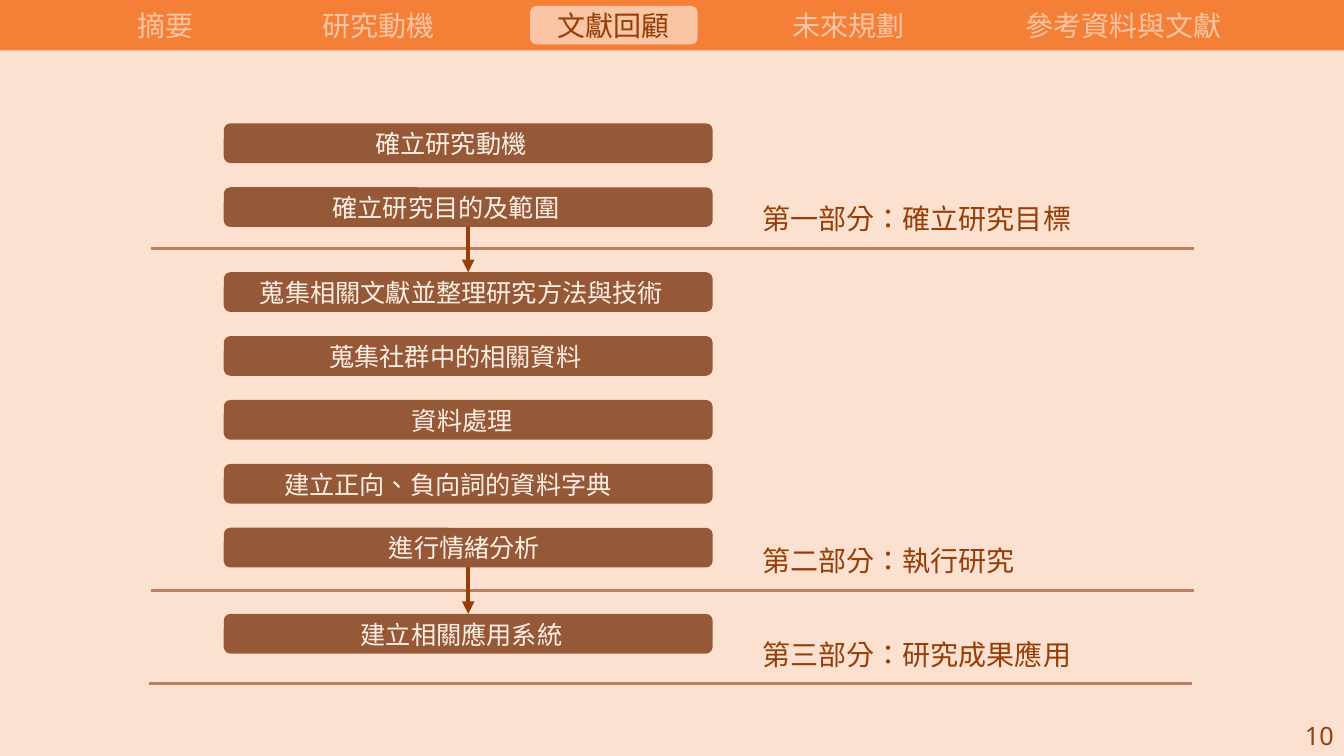
from lxml import etree
from pptx import Presentation
from pptx.dml.color import RGBColor
from pptx.enum import lang, shapes, text
from pptx.oxml.ns import qn
from pptx.util import Cm, Pt

PEACH = RGBColor(0xFC, 0xE1, 0xD0)
ORANGE = RGBColor(0xF4, 0x80, 0x38)
APRICOT = RGBColor(0xFA, 0xC5, 0xA4)
RUST = RGBColor(0x96, 0x3E, 0x08)
BROWN = RGBColor(0x95, 0x59, 0x37)
TAN = RGBColor(0xB9, 0x81, 0x5F)
CREAM = RGBColor(0xFE, 0xEF, 0xE6)

JUST, CENTER, RIGHT = (text.PP_ALIGN.JUSTIFY, text.PP_ALIGN.CENTER,
                       text.PP_ALIGN.RIGHT)
RECT = shapes.MSO_SHAPE.RECTANGLE
ROUND = shapes.MSO_SHAPE.ROUNDED_RECTANGLE

BAR_X, BAR_W, BAR_H, STEP = 5.64, 12.32, 1, 1.61
RULE_W = 26.29

# Tab name, left, width
TABS = [("摘要", 3.1, 2.13), ("研究動機", 7.8, 3.5),
        ("未來規劃", 19.63, 3.5), ("參考資料與文獻", 25.45, 5.72)]

# Top of the first bar, then each step: wording, text left, text width
PARTS = [
    (3.11, [("確立研究動機", 9.21, 5.18),
            ("確立研究目的及範圍", 8.13, 7.37)]),
    (6.86, [("蒐集相關文獻並整理研究方法與技術", 6.3, 11.02),
            ("蒐集社群中的相關資料", 8.05, 7.52),
            ("資料處理", 10.13, 3.35),
            ("建立正向、負向詞的資料字典", 6.91, 9.8),
            ("進行情緒分析", 9.55, 4.5)]),
    (15.47, [("建立相關應用系統", 8.84, 5.97)]),
]

# Heading, its top and width, then left and top of the line below
HEADS = [("第一部分：確立研究目標", 4.95, 9.22, 3.81, 6.27),
         ("第二部分：執行研究", 13.56, 7.77, 3.81, 14.88),
         ("第三部分：研究成果應用", 15.93, 9.45, 3.76, 17.22)]


class Page:
    """One slide and the style its elements share."""
    face = "Noto Sans"

    def __init__(self, deck):
        self.slide = deck.slides.add_slide(deck.slide_layouts[5])
        self.items = self.slide.shapes
        fill = self.slide.background.fill
        fill.solid()
        fill.fore_color.rgb = PEACH

    def block(self, kind, x, y, w, h, color):
        box = self.items.add_shape(kind, Cm(x), Cm(y), Cm(w), Cm(h))
        box.shadow.inherit = False
        box.fill.solid()
        box.fill.fore_color.rgb = color
        box.line.fill.background()
        return box

    def put(self, box, words, size, color, align):
        frame = box.text_frame
        frame.word_wrap = True
        frame.auto_size = text.MSO_AUTO_SIZE.SHAPE_TO_FIT_TEXT
        frame.vertical_anchor = text.MSO_ANCHOR.TOP
        para = frame.paragraphs[0]
        para.alignment = align
        run = para.add_run()
        run.text = words
        font = run.font
        font.name, font.size = self.face, Pt(size)
        font.color.rgb = color
        font.language_id = lang.MSO_LANGUAGE_ID.TRADITIONAL_CHINESE

    def label(self, words, x, y, w, size, color, align=JUST):
        h = 1.12 if size == 20 else 1.02
        box = self.items.add_textbox(Cm(x), Cm(y), Cm(w), Cm(h))
        self.put(box, words, size, color, align)

    def title(self, words, x, y, w, h):
        box = self.items.title
        box.left, box.top, box.width, box.height = Cm(x), Cm(y), Cm(w), Cm(h)
        self.put(box, words, 20, RUST, CENTER)
        # Bring the title in front of the tab behind it
        box.element.getparent().append(box.element)

    def line(self, x, y, w, color, width):
        link = self.items.add_connector(
            shapes.MSO_CONNECTOR.STRAIGHT, Cm(x), Cm(y), Cm(x + w), Cm(y))
        link.line.color.rgb = color
        link.line.width = Pt(width)
        etree.SubElement(link.element.spPr, qn("a:effectLst"))
        return link

    def arrow(self, start, end):
        link = self.line(0, 0, 1, RUST, 3)
        link.begin_connect(start, 2)
        link.end_connect(end, 0)
        ln = link.element.spPr.find(qn("a:ln"))
        etree.SubElement(ln, qn("a:tailEnd"), type="triangle")


def main():
    deck = Presentation()
    deck.slide_width, deck.slide_height = Cm(33.87), Cm(19.05)
    page = Page(deck)

    page.block(RECT, 0, 0, 33.87, 1.27, ORANGE)
    page.block(ROUND, 13.36, 0.15, 4.22, 0.97, APRICOT)
    page.title("文獻回顧", 13.72, 0.08, 3.5, 1.12)
    for name, x, w in TABS:
        page.label(name, x, 0.08, w, 20, APRICOT, CENTER)

    for name, y, w, x, low in HEADS:
        page.line(x, low, RULE_W, TAN, 2.25)
        page.label(name, 18.97, y, w, 20, RUST)

    last = None
    for top, steps in PARTS:
        for i, (name, x, w) in enumerate(steps):
            y = top + i * STEP
            bar = page.block(ROUND, BAR_X, y, BAR_W, BAR_H, BROWN)
            page.label(name, x, y, w, 18, CREAM)
            if i == 0 and last:
                page.arrow(last, bar)
        last = bar

    page.label("10", 32.59, 18.03, 1.27, 18, RUST, RIGHT)
    deck.save("out.pptx")


if __name__ == "__main__":
    main()
